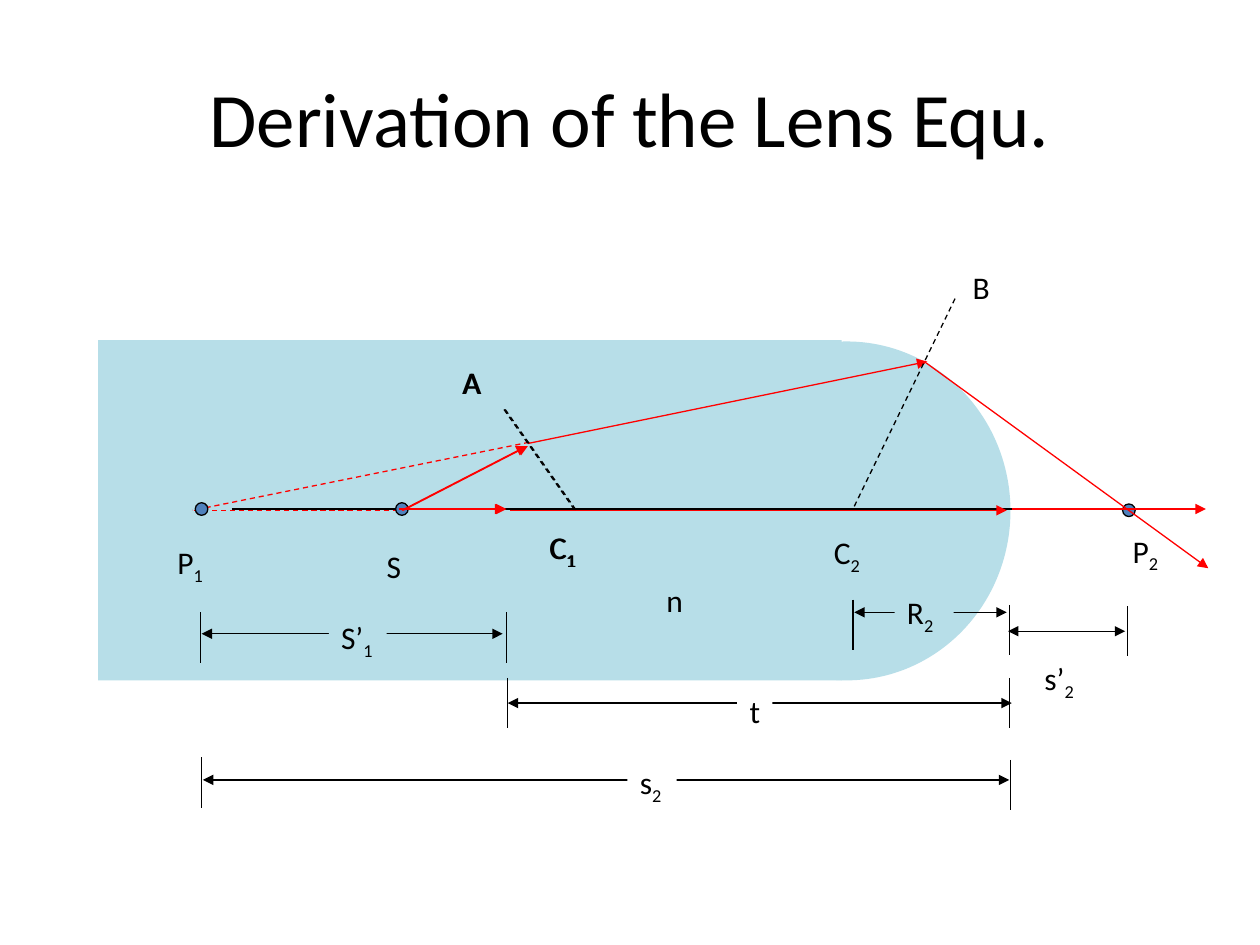
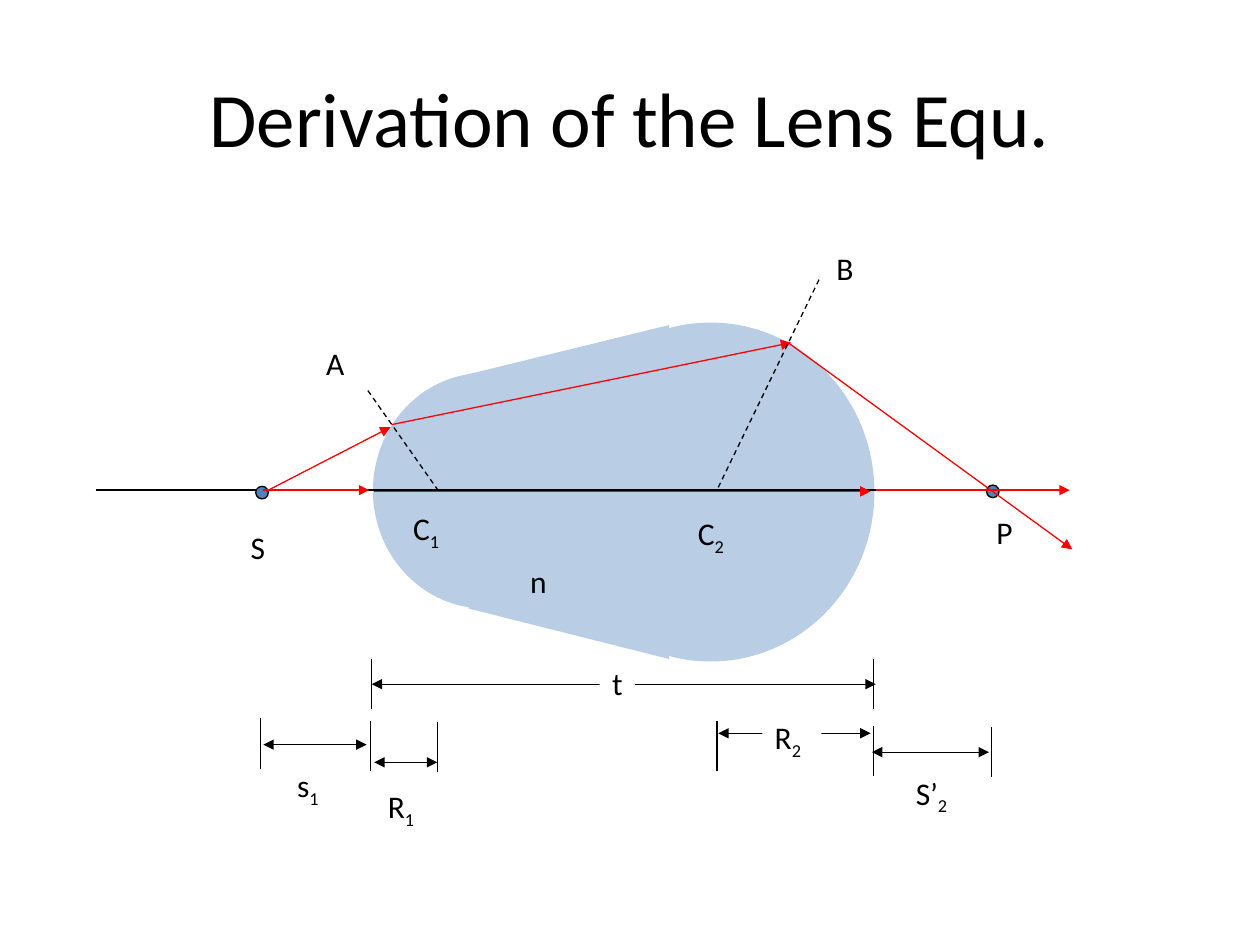
from lxml.etree import SubElement
from pptx import Presentation
from pptx.dml.color import RGBColor
from pptx.enum.dml import MSO_LINE
from pptx.enum.shapes import MSO_CONNECTOR, MSO_SHAPE
from pptx.enum.text import MSO_ANCHOR, MSO_AUTO_SIZE, PP_ALIGN
from pptx.oxml.ns import qn
from pptx.util import Inches, Pt

TITLE = "Derivation of the Lens Equ."
FONT = "Calibri"
BLACK, RED, WHITE, DOT = "000000", "FF0000", "FFFFFF", "4F81BD"
GLASS_1, GLASS_2 = "B7DEE8", "B9CDE5"
DOT_SIZE, TICK, LABEL_H = 0.1, 0.4, 0.4

# Lens diagram shared by both slides; each slide shifts it by its own offset.
SURFACES = [(2.96, 2.96, 1.78, 1.87), (4.34, 2.56, 2.6, 2.69)]
LENS_BODY = [(5.31, 2.58), (3.72, 2.97), (3.72, 4.83), (5.31, 5.23)]
AXIS = [(0.76, 3.89, 8.17, 3.89)]
FIRST_RAYS = [(2.09, 3.89, 2.93, 3.89), (2.11, 3.9, 3.1, 3.39)]
FIRST_NORMAL = [(2.92, 3.1, 3.49, 3.91)]
FIRST_LABELS = [("A", 2.49, 2.68, 0.38), ("C_1", 3.18, 3.99, 0.47)]
RAYS = [(2.97, 3.9, 6.91, 3.9), (6.95, 3.89, 8.49, 3.89),
        (3.11, 3.37, 6.28, 2.72), (6.27, 2.73, 8.51, 4.36)]
SECOND_NORMAL = [(6.5, 2.22, 5.69, 3.89)]
LABELS = [("S", 1.89, 4.14, 0.32), ("C_2", 5.44, 4.03, 0.47),
          ("B", 6.54, 1.93, 0.38), ("n", 4.11, 4.41, 0.35)]

# Dimensions: ticks are (x, top), spans are (left, right, y).
THICKNESS = {"ticks": [(2.95, 5.23), (6.93, 5.23)], "spans": [(2.95, 6.95, 5.43)]}
IMAGE_SIDE = {"ticks": [(5.69, 5.72), (6.93, 5.76), (7.87, 5.77)],
              "spans": [(5.7, 6.91, 5.82), (6.92, 7.85, 5.97)]}

SLIDES = [
    {
        "glass": GLASS_1,
        "offset": (1.08, 0.15),
        "image_side_offset": (1.08, -0.96),
        "first_surface_shifts": [0, 0.01],
        "slab": [(0.78, 2.7, 5.9, 2.7)],
        "virtual_rays": [(4.2, 3.51, 1.53, 4.05), (1.54, 4.05, 3.22, 4.05)],
        "dots": [(3.14, 3.99), (8.91, 4), (1.55, 3.99)],
        "ticks": [(4.02, 4.86), (1.59, 4.86), (1.6, 6.01), (8.02, 6.03)],
        "spans": [(1.6, 3.99, 5.03), (1.61, 8.01, 6.19)],
        "labels": [("P_2", 8.89, 4.17, 0.42, None), ("P_1", 1.31, 4.26, 0.42, None),
                   ("t", 5.85, 5.44, 0.28, WHITE), ("R_2", 7.1, 4.66, 0.47, GLASS_1),
                   ("s_2", 4.98, 6.01, 0.39, WHITE), ("s’_2", 8.19, 5.18, 0.45, WHITE),
                   ("S’_1", 2.61, 4.86, 0.46, GLASS_1)],
    },
    {
        "glass": GLASS_2,
        "offset": (0, 0),
        "image_side_offset": (0, 0),
        "first_surface_shifts": [0],
        "slab": [],
        "virtual_rays": [],
        "dots": [(2.03, 3.86), (7.83, 3.85)],
        "ticks": [(2.07, 5.7), (2.94, 5.72), (3.47, 5.73)],
        "spans": [(2.09, 2.91, 5.91), (2.97, 3.47, 6.05)],
        "labels": [("P", 7.81, 4.02, 0.33, None), ("t", 4.76, 5.22, 0.28, WHITE),
                   ("s_1", 2.26, 6.03, 0.39, WHITE), ("S’_2", 7.17, 6.09, 0.46, WHITE),
                   ("R_2", 6.05, 5.65, 0.47, WHITE), ("R_1", 2.98, 6.2, 0.47, WHITE)],
    },
]


def rgb(color):
    return RGBColor.from_string(color)


def paint(sp, fill, line=None):
    sp.shadow.inherit = False
    sp.fill.solid()
    sp.fill.fore_color.rgb = rgb(fill)
    if line:
        sp.line.color.rgb = rgb(line)
        sp.line.width = Pt(0.75)
    else:
        sp.line.fill.background()


def add_preset(slide, preset, box, fill, line=None):
    sp = slide.shapes.add_shape(preset, *map(Inches, box))
    paint(sp, fill, line)


def add_lines(slide, lines, offset=(0, 0), color=BLACK, dashed=False, arrows=()):
    """Draw (x1, y1, x2, y2) lines; arrows names the ends, headEnd before tailEnd."""
    dx, dy = offset
    for x1, y1, x2, y2 in lines:
        ends = (x1 + dx, y1 + dy, x2 + dx, y2 + dy)
        cn = slide.shapes.add_connector(MSO_CONNECTOR.STRAIGHT, *map(Inches, ends))
        cn.line.color.rgb = rgb(color)
        cn.line.width = Pt(0.75)
        if dashed:
            cn.line.dash_style = MSO_LINE.DASH
        for end in arrows:
            SubElement(cn.line._get_or_add_ln(), qn(f"a:{end}"), type="triangle")
        SubElement(cn._element.spPr, qn("a:effectLst"))


def add_rays(slide, lines, offset):
    add_lines(slide, lines, offset, color=RED, arrows=["tailEnd"])


def add_dimensions(slide, ticks, spans, offset=(0, 0)):
    add_lines(slide, [(x, top, x, top + TICK) for x, top in ticks], offset)
    add_lines(slide, [(left, y, right, y) for left, right, y in spans], offset,
              arrows=["headEnd", "tailEnd"])


def add_run(p, text, size=18):
    r = p.add_run()
    r.text = text
    r.font.name = FONT
    r.font.size = Pt(size)
    r.font.color.rgb = rgb(BLACK)
    return r


def add_label(slide, text, x, y, width, fill=None, offset=(0, 0)):
    """Add a label; what follows an underscore is set as a subscript."""
    box = (x + offset[0], y + offset[1], width, LABEL_H)
    sp = slide.shapes.add_textbox(*map(Inches, box))
    if fill:
        paint(sp, fill)
    base, _, sub = text.partition("_")
    tf = sp.text_frame
    tf.word_wrap = base in ("A", "B", "C")
    tf.auto_size = MSO_AUTO_SIZE.SHAPE_TO_FIT_TEXT
    p = tf.paragraphs[0]
    add_run(p, base)
    if sub:
        add_run(p, sub)._r.get_or_add_rPr().set("baseline", "-25000")


def add_title(slide):
    sp = slide.shapes.title
    sp.left, sp.top, sp.width, sp.height = map(Inches, (0.5, 0.3, 9, 1.25))
    tf = sp.text_frame
    tf.vertical_anchor = MSO_ANCHOR.MIDDLE
    p = tf.paragraphs[0]
    p.alignment = PP_ALIGN.CENTER
    add_run(p, TITLE, size=44)


def add_lens(slide, fill, offset):
    dx, dy = offset
    for x, y, w, h in SURFACES:
        add_preset(slide, MSO_SHAPE.OVAL, (x + dx, y + dy, w, h), fill)
    points = [(Inches(x + dx), Inches(y + dy)) for x, y in LENS_BODY]
    builder = slide.shapes.build_freeform(*points[0])
    builder.add_line_segments(points[1:], close=True)
    paint(builder.convert_to_shape(), fill)


def add_diagram(slide, spec):
    offset = dx, dy = spec["offset"]
    for box in spec["slab"]:
        add_preset(slide, MSO_SHAPE.RECTANGLE, box, spec["glass"])
    add_lens(slide, spec["glass"], offset)
    add_lines(slide, AXIS, offset)
    add_lines(slide, spec["virtual_rays"], color=RED, dashed=True)
    for x, y in spec["dots"]:
        add_preset(slide, MSO_SHAPE.OVAL, (x, y, DOT_SIZE, DOT_SIZE), DOT, BLACK)

    add_rays(slide, RAYS, offset)
    add_lines(slide, SECOND_NORMAL, offset, dashed=True)
    for shift in spec["first_surface_shifts"]:
        shifted = (dx + shift, dy)
        add_rays(slide, FIRST_RAYS, shifted)
        add_lines(slide, FIRST_NORMAL, shifted, dashed=True)
        for label in FIRST_LABELS:
            add_label(slide, *label, offset=shifted)

    add_dimensions(slide, **THICKNESS, offset=offset)
    add_dimensions(slide, **IMAGE_SIDE, offset=spec["image_side_offset"])
    add_dimensions(slide, spec["ticks"], spec["spans"])
    for label in LABELS:
        add_label(slide, *label, offset=offset)
    for label in spec["labels"]:
        add_label(slide, *label)


def main():
    prs = Presentation()
    prs.slide_width, prs.slide_height = Inches(10), Inches(7.5)
    for spec in SLIDES:
        slide = prs.slides.add_slide(prs.slide_layouts[5])
        add_title(slide)
        add_diagram(slide, spec)
    prs.save("out.pptx")


if __name__ == "__main__":
    main()
